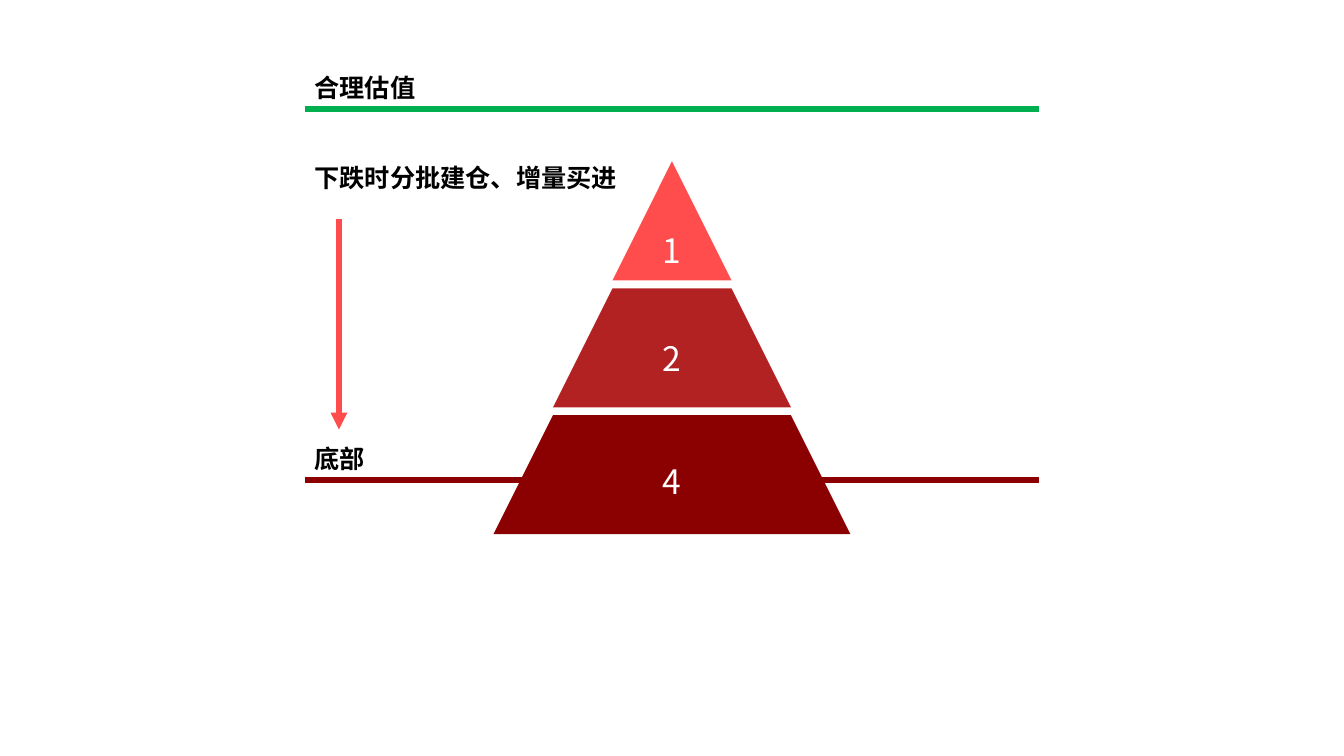
import pptx
import pptx.util
import pptx.dml.color
import pptx.enum.shapes
import pptx.enum.text
import pptx.oxml
import pptx.oxml.ns

Pt = pptx.util.Pt
Shape = pptx.enum.shapes.MSO_SHAPE
Anchor = pptx.enum.text.MSO_ANCHOR
Align = pptx.enum.text.PP_ALIGN

FONT = "Noto Sans CJK SC"
COLORS = {
    "fair": "00B050",
    "light": "FF4C4C",
    "middle": "B22222",
    "dark": "8B0000",
    "text": "000000",
    "number": "FFFFFF",
}
LABEL_HEIGHT = 29.1


def color(name):
    return pptx.dml.color.RGBColor.from_string(COLORS[name])


def write_text(frame, text, size=18, bold=False, tone="text", align=Align.LEFT):
    para = frame.paragraphs[0]
    para.alignment = align
    span = para.add_run()
    span.text = text
    span.font.size = Pt(size)
    span.font.bold = bold
    span.font.name = FONT
    span.font.color.rgb = color(tone)
    east_asian = pptx.oxml.parse_xml(
        f'<a:ea {pptx.oxml.ns.nsdecls("a")} typeface="{FONT}"/>'
    )
    span.font._element.append(east_asian)


def add_line(page, start, end, tone, arrow=False):
    line = page.shapes.add_connector(
        pptx.enum.shapes.MSO_CONNECTOR.STRAIGHT, *map(Pt, start + end)
    )
    line.line.color.rgb = color(tone)
    line.line.width = Pt(4)
    namespace = pptx.oxml.ns.nsdecls("a")
    if arrow:
        line.line._get_or_add_ln().append(
            pptx.oxml.parse_xml(f'<a:tailEnd {namespace} type="triangle"/>')
        )
    line._element.spPr.append(pptx.oxml.parse_xml(f"<a:effectLst {namespace}/>"))


def add_label(page, text, left, top, width):
    box = page.shapes.add_textbox(Pt(left), Pt(top), Pt(width), Pt(LABEL_HEIGHT))
    box.text_frame.word_wrap = False
    box.text_frame.auto_size = pptx.enum.text.MSO_AUTO_SIZE.SHAPE_TO_FIT_TEXT
    write_text(box.text_frame, text, bold=True)


def add_level(page, text, left, top, width, length, tone):
    add_line(page, (left, top), (left + length, top), tone)
    add_label(page, text, left, top - LABEL_HEIGHT - 0.4, width)


def add_pyramid(page, center, top, tier_height, gap):
    tiers = [("1", "light"), ("2", "middle"), ("4", "dark")]
    for index, (number, tone) in enumerate(tiers):
        width = tier_height * (index + 1)
        tier = page.shapes.add_shape(
            Shape.TRAPEZOID if index else Shape.ISOSCELES_TRIANGLE,
            Pt(center - width / 2),
            Pt(top + index * (tier_height + gap)),
            Pt(width),
            Pt(tier_height),
        )
        tier.adjustments[0] = 0.5
        tier.shadow.inherit = False
        tier.fill.solid()
        tier.fill.fore_color.rgb = color(tone)
        tier.line.fill.background()
        tier.text_frame.vertical_anchor = Anchor.MIDDLE
        write_text(
            tier.text_frame, number, size=24, tone="number", align=Align.CENTER
        )


def add_decline(page, left, top, length):
    add_label(page, "下跌时分批建仓、增量买进", left, top, 232.4)
    arrow_left, arrow_top = left + 24.5, top + 44.5
    add_line(
        page,
        (arrow_left, arrow_top),
        (arrow_left, arrow_top + length),
        "light",
        arrow=True,
    )


def add_valuation_diagram(page, left, top, width):
    add_level(page, "底部", left, top + 294.5, 51, width, "dark")
    add_pyramid(page, left + width / 2, top + 67, 85, 5.7)
    add_level(page, "合理估值", left, top + 29.5, 87, width, "fair")
    add_decline(page, left, top + 64.1, 150)


def main():
    deck = pptx.Presentation()
    deck.slide_width = Pt(960)
    deck.slide_height = Pt(540)
    page = deck.slides.add_slide(deck.slide_layouts[6])
    add_valuation_diagram(page, 217.6, 48.2, 524.8)
    deck.save("out.pptx")


if __name__ == "__main__":
    main()
